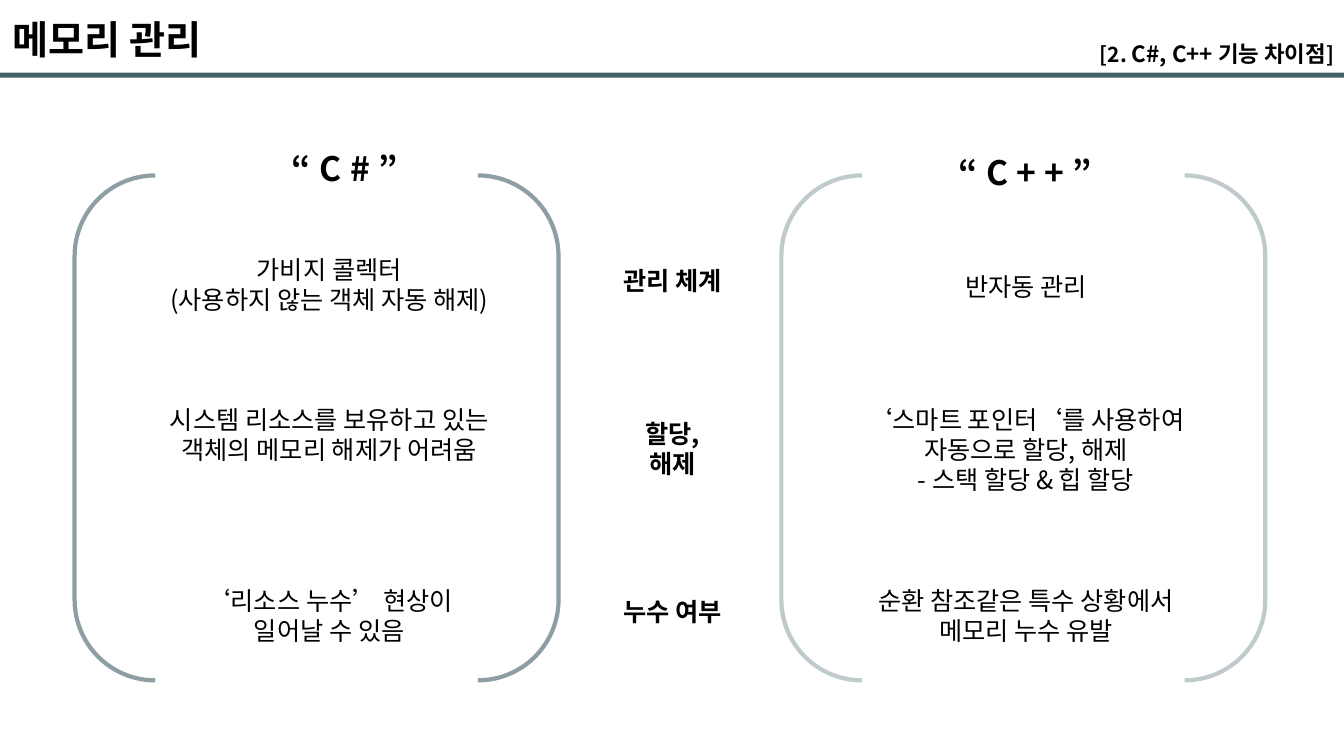
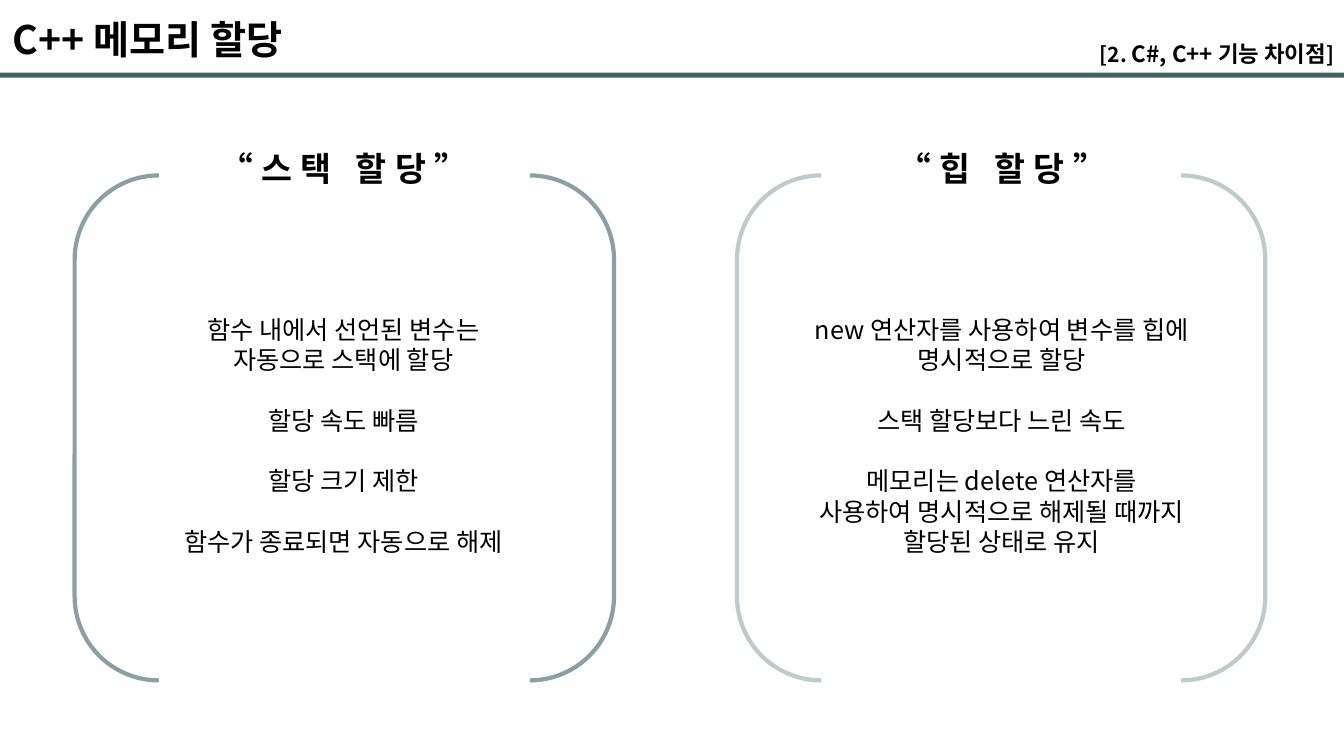
from lxml.etree import SubElement
from pptx import Presentation
from pptx.dml.color import RGBColor
from pptx.enum.shapes import MSO_SHAPE
from pptx.enum.text import MSO_ANCHOR, PP_ALIGN
from pptx.oxml.ns import qn
from pptx.util import Inches, Pt

FONT = "Noto Sans CJK KR"
INK = "000000"
TEAL = "1C4148"
BODY_SIZE = 18
LINE_PITCH = 1.2
PANEL_TOP, PANEL_HEIGHT = 1.74, 5.01
STRONG, PALE = 50, 28
CHAPTER = [("[2. ", 15), ("C#, C++ 기능 차이점", 16), ("]", 15)]


def paint(fill, color, opacity=100):
    fill.solid()
    fill.fore_color.rgb = RGBColor.from_string(color)
    if opacity < 100:
        color_node = fill._xPr.find(qn("a:solidFill"))[0]
        SubElement(color_node, qn("a:alpha"), val=str(opacity * 1000))


def add_span(para, text, size, bold=False, spacing=0):
    span = para.add_run()
    span.text = text
    span.font.size = Pt(size)
    span.font.bold = bold
    span.font.name = FONT
    paint(span.font.fill, INK)
    properties = span._r.get_or_add_rPr()
    SubElement(properties, qn("a:ea"), typeface=FONT)
    if spacing:
        properties.set("spc", str(spacing * 100))


def add_text(page, box, paragraphs, size=BODY_SIZE, bold=False, spacing=0,
             align=PP_ALIGN.CENTER, wrap=True, gap=0):
    """Each paragraph is a list of lines; a line is a string or (text, size) spans."""
    frame = page.shapes.add_textbox(*map(Inches, box)).text_frame
    frame.word_wrap = wrap
    frame.vertical_anchor = MSO_ANCHOR.TOP
    for index, lines in enumerate(paragraphs):
        para = frame.add_paragraph() if index else frame.paragraphs[0]
        para.alignment = align
        para.space_before = Pt(gap if index else 0)
        for number, line in enumerate(lines):
            if number:
                para.add_line_break()
            spans = [(line, size)] if isinstance(line, str) else line
            for text, span_size in spans:
                add_span(para, text, span_size, bold, spacing)


def add_page(deck, title):
    page = deck.slides.add_slide(deck.slide_layouts[6])
    rule = page.shapes.add_shape(
        MSO_SHAPE.RECTANGLE, 0, Inches(0.72), deck.slide_width, Inches(0.05))
    rule.shadow.inherit = False
    rule.line.fill.background()
    paint(rule.fill, TEAL, 83)
    add_text(page, (0.03, 0.1, 3.26, 0.57), [[title]], 28, True,
             align=PP_ALIGN.LEFT, wrap=False)
    add_text(page, (10.56, 0.35, 2.77, 0.37), [[CHAPTER]], bold=True,
             align=PP_ALIGN.RIGHT, wrap=False)
    return page


def add_panel(page, left, width, opacity, heading, heading_center, heading_top=1.42):
    """Bracket pair with a spaced heading set into its open top."""
    bracket = page.shapes.add_shape(
        MSO_SHAPE.DOUBLE_BRACKET,
        *map(Inches, (left, PANEL_TOP, width, PANEL_HEIGHT)))
    bracket.shadow.inherit = False
    bracket.fill.background()
    bracket.line.width = Pt(3)
    paint(bracket.line.fill, TEAL, opacity)
    add_text(page, (heading_center - 1.5, heading_top, 3, 0.5), [[heading]],
             24, True, spacing=6, wrap=False)


def add_column(page, left, width, entries):
    """Stack of (top, lines) entries sharing one column."""
    for top, lines in entries:
        height = 0.1 + len(lines) * BODY_SIZE * LINE_PITCH / 72
        add_text(page, (left, top, width, height), [lines])


def build_comparison(deck):
    page = add_page(deck, "메모리 관리")
    add_panel(page, 0.74, 4.8, STRONG, "“C#”", 3.42)
    add_panel(page, 7.75, 4.8, PALE, "“C++”", 10.17, 1.46)
    add_column(page, 1.26, 4.01, [
        (2.47, ["가비지 콜렉터", "(사용하지 않는 객체 자동 해제)"]),
        (3.96, ["시스템 리소스를 보유하고 있는", "객체의 메모리 해제가 어려움"]),
        (5.76, ["‘리소스 누수’ 현상이", "일어날 수 있음"]),
    ])
    add_column(page, 8.17, 4.01, [
        (2.64, ["반자동 관리"]),
        (3.96, ["‘스마트 포인터‘를 사용하여", "자동으로 할당, 해제",
                "- 스택 할당 & 힙 할당"]),
        (5.76, ["순환 참조같은 특수 상황에서", "메모리 누수 유발"]),
    ])
    for top, lines in [(2.58, ["관리 체계"]), (4.1, ["할당,", "해제"]),
                       (5.87, ["누수 여부"])]:
        add_text(page, (5.97, top, 1.4, 0.4), [lines], bold=True, wrap=False)


def build_allocation(deck):
    page = add_page(deck, "C++ 메모리 할당")
    add_panel(page, 0.74, 5.35, STRONG, "“스택 할당”", 3.41)
    add_panel(page, 7.31, 5.24, PALE, "“힙 할당”", 9.94)
    columns = [
        (1.4, [["함수 내에서 선언된 변수는", "자동으로 스택에 할당"],
               ["할당 속도 빠름"],
               ["할당 크기 제한"],
               ["함수가 종료되면 자동으로 해제"]]),
        (7.93, [["new 연산자를 사용하여 변수를 힙에", "명시적으로 할당"],
                ["스택 할당보다 느린 속도"],
                ["메모리는 delete 연산자를", "사용하여 명시적으로 해제될 때까지",
                 "할당된 상태로 유지"]]),
    ]
    for left, paragraphs in columns:
        add_text(page, (left, 3.07, 4.01, 2.52), paragraphs,
                 gap=BODY_SIZE * LINE_PITCH)


def main():
    deck = Presentation()
    deck.slide_width, deck.slide_height = Inches(13.33), Inches(7.5)
    build_comparison(deck)
    build_allocation(deck)
    deck.save("out.pptx")


if __name__ == "__main__":
    main()
